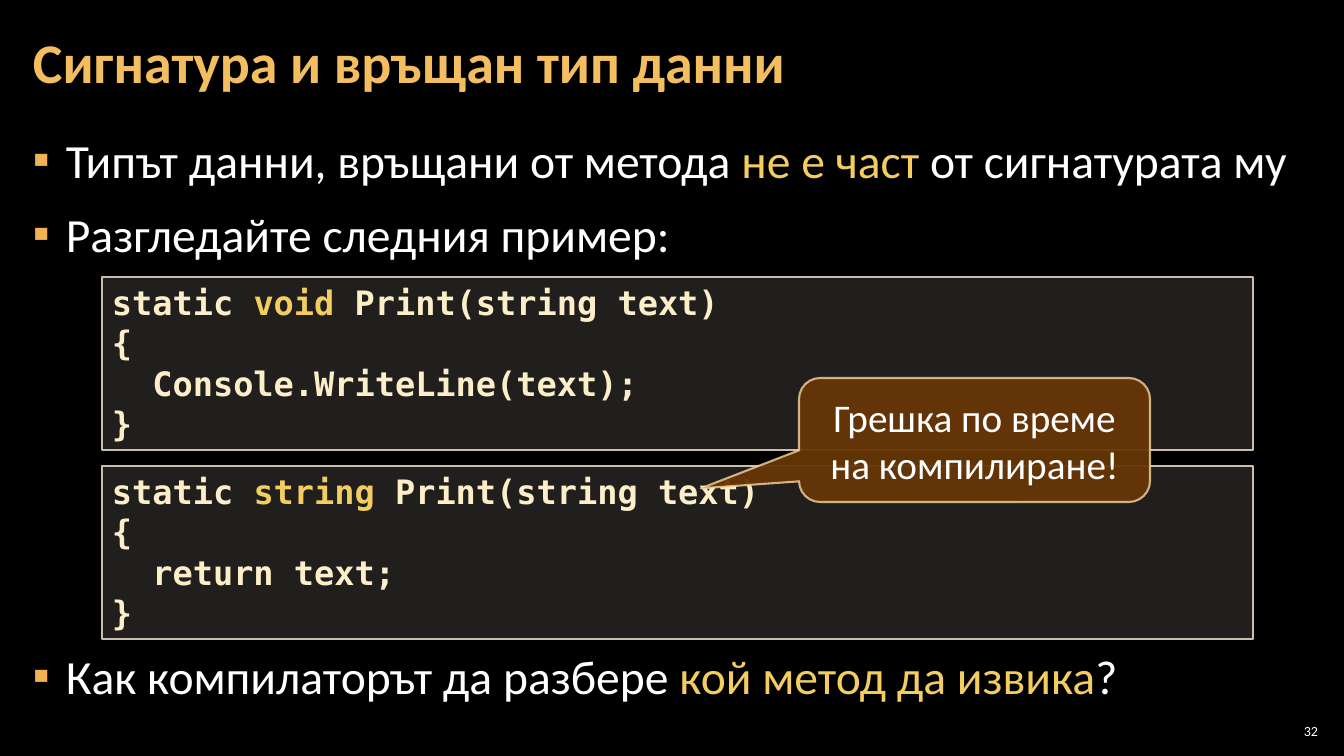
from dataclasses import dataclass

from lxml import etree
from pptx import Presentation
from pptx import util as u
from pptx.dml.color import RGBColor
from pptx.enum import shapes, text
from pptx.oxml.ns import qn

TITLE = [("Сигнатура и връщан тип данни", "title")]
BULLETS = [
    [("Типът данни, връщани от метода ", "white"), ("не е част ", "accent"),
     ("от сигнатурата му", "white")],
    [("Разгледайте следния пример:", "white")],
    [("Как компилаторът да разбере ", "white"), ("кой метод да извика", "accent"),
     ("?", "white")],
]
METHODS = [("void", "Console.WriteLine(text);"), ("string", "return text;")]
CALLOUT = [("Грешка по време на компилиране!", "white")]
SLIDE_NUMBER = [("32", "white")]

SLIDE_SIZE = (1344, 756)
TITLE_BOX = (21, 4, 1301, 122)
BODY_BOX = (21, 127, 1301, 614)
CODE_BOX = (102, 277, 1151, 173)
CODE_STEP = 189
CODE_SPACE = 263
CALLOUT_BOX = (799, 378, 351, 124)
CALLOUT_ADJUSTMENTS = (-0.78, 0.39, 0.17)
NUMBER_BOX = (1275, 720, 47, 21)
BULLET_INDENT = 33
BULLET_SPACE = 6


@dataclass(frozen=True)
class Theme:
    background: str = "000000"
    title: str = "F3BE60"
    white: str = "FFFFFF"
    accent: str = "F3CD60"
    bullet: str = "F2B254"
    code: str = "FBEEC9"
    code_fill: str = "D9D5C7"
    code_line: str = "C7BFAC"
    callout_fill: str = "663606"
    callout_line: str = "F8D49E"
    text_font: str = "Calibri"
    code_font: str = "DejaVu Sans Mono"
    title_size: int = 40
    body_size: int = 34
    code_size: int = 24
    callout_size: int = 28
    number_size: int = 10


THEME = Theme()


def px(length):
    return u.Emu(round(length * 914400 / 100.8))


def color(name):
    return RGBColor.from_string(getattr(THEME, name))


def place(shape, box):
    shape.left, shape.top, shape.width, shape.height = map(px, box)


def set_frame(shape, anchor, margins=None):
    frame = shape.text_frame
    frame.word_wrap = True
    frame.auto_size = text.MSO_AUTO_SIZE.NONE
    frame.vertical_anchor = anchor
    if margins:
        frame.margin_left = frame.margin_right = px(margins[0])
        frame.margin_top = frame.margin_bottom = px(margins[1])
    return frame


def write(paragraph, runs, size, font=THEME.text_font, bold=False,
          align=text.PP_ALIGN.LEFT):
    paragraph.alignment = align
    paragraph.font.name = font
    paragraph.font.size = u.Pt(size)
    paragraph.font.bold = bold
    for words, tone in runs:
        run = paragraph.add_run()
        run.text = words
        run.font.color.rgb = color(tone)


def next_paragraph(frame, index):
    return frame.add_paragraph() if index else frame.paragraphs[0]


def add_bullet(paragraph):
    properties = paragraph._p.get_or_add_pPr()
    properties.set("marL", str(px(BULLET_INDENT)))
    properties.set("indent", str(-px(BULLET_INDENT)))
    tint = etree.SubElement(properties, qn("a:buClr"))
    etree.SubElement(tint, qn("a:srgbClr"), val=THEME.bullet)
    etree.SubElement(properties, qn("a:buFont"), typeface=THEME.text_font)
    etree.SubElement(properties, qn("a:buChar"), char="▪")


def set_opacity(paint, percent):
    etree.SubElement(paint.find(".//" + qn("a:srgbClr")), qn("a:alpha"),
                     val=str(percent * 1000))


def add_panel(slide, kind, box, name, fill_opacity, line_width, line_opacity=100):
    shape = slide.shapes.add_shape(kind, *map(px, box))
    shape.shadow.inherit = False
    shape.fill.solid()
    shape.fill.fore_color.rgb = color(name + "_fill")
    shape.line.color.rgb = color(name + "_line")
    shape.line.width = u.Pt(line_width)
    properties = shape._element.spPr
    set_opacity(properties.find(qn("a:solidFill")), fill_opacity)
    if line_opacity < 100:
        set_opacity(properties.find(qn("a:ln")), line_opacity)
    return shape


def add_title(slide):
    title = slide.shapes.title
    place(title, TITLE_BOX)
    frame = set_frame(title, text.MSO_ANCHOR.MIDDLE, (12, 4))
    frame.paragraphs[0].line_spacing = 0.9
    write(frame.paragraphs[0], TITLE, THEME.title_size, bold=True)


def add_body(slide):
    body = slide.placeholders[1]
    place(body, BODY_BOX)
    frame = set_frame(body, text.MSO_ANCHOR.TOP, (12, 4))
    for index, runs in enumerate(BULLETS):
        paragraph = next_paragraph(frame, index)
        add_bullet(paragraph)
        after_code = index == len(BULLETS) - 1
        before = BULLET_SPACE + CODE_SPACE * after_code if index else 0
        paragraph.space_before = u.Pt(before)
        paragraph.space_after = u.Pt(BULLET_SPACE)
        write(paragraph, runs, THEME.body_size)


def add_methods(slide):
    left, top, width, height = CODE_BOX
    for row, (return_type, statement) in enumerate(METHODS):
        box = (left, top + row * CODE_STEP, width, height)
        panel = add_panel(slide, shapes.MSO_SHAPE.RECTANGLE, box, "code", 15, 1)
        frame = set_frame(panel, text.MSO_ANCHOR.TOP)
        lines = [
            [("static ", "code"), (return_type, "accent"),
             (" Print(string text)", "code")],
            [("{", "code")],
            [("  " + statement, "code")],
            [("}", "code")],
        ]
        for index, runs in enumerate(lines):
            write(next_paragraph(frame, index), runs, THEME.code_size,
                  THEME.code_font, bold=True)


def add_callout(slide):
    callout = add_panel(slide, shapes.MSO_SHAPE.ROUNDED_RECTANGULAR_CALLOUT,
                        CALLOUT_BOX, "callout", 95, 1.5, 80)
    for index, value in enumerate(CALLOUT_ADJUSTMENTS):
        callout.adjustments[index] = value
    frame = set_frame(callout, text.MSO_ANCHOR.MIDDLE)
    write(frame.paragraphs[0], CALLOUT, THEME.callout_size,
          align=text.PP_ALIGN.CENTER)


def add_number(slide):
    number = slide.shapes.add_textbox(*map(px, NUMBER_BOX))
    frame = set_frame(number, text.MSO_ANCHOR.MIDDLE, (4, 4))
    write(frame.paragraphs[0], SLIDE_NUMBER, THEME.number_size,
          align=text.PP_ALIGN.RIGHT)


def main():
    presentation = Presentation()
    presentation.slide_width, presentation.slide_height = map(px, SLIDE_SIZE)
    slide = presentation.slides.add_slide(presentation.slide_layouts[1])
    slide.background.fill.solid()
    slide.background.fill.fore_color.rgb = color("background")
    add_title(slide)
    add_body(slide)
    add_methods(slide)
    add_callout(slide)
    add_number(slide)
    presentation.save("out.pptx")


if __name__ == "__main__":
    main()
